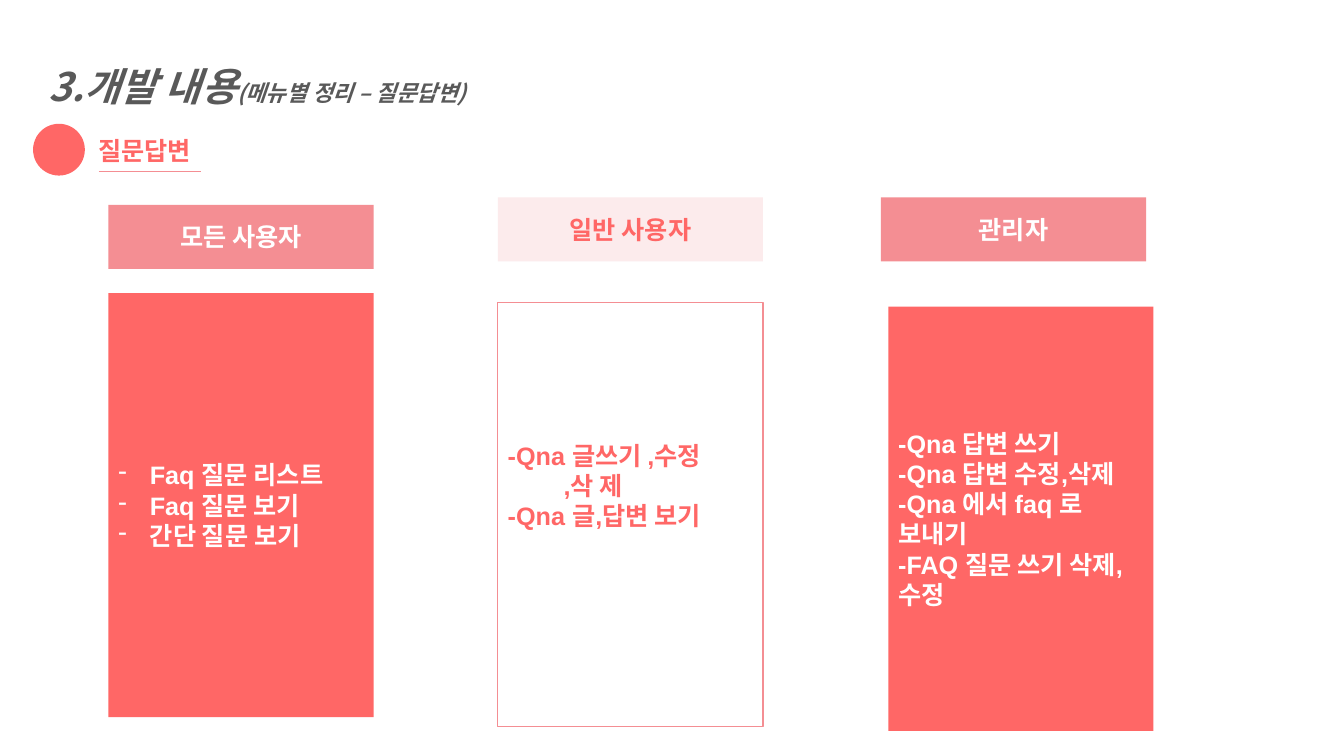
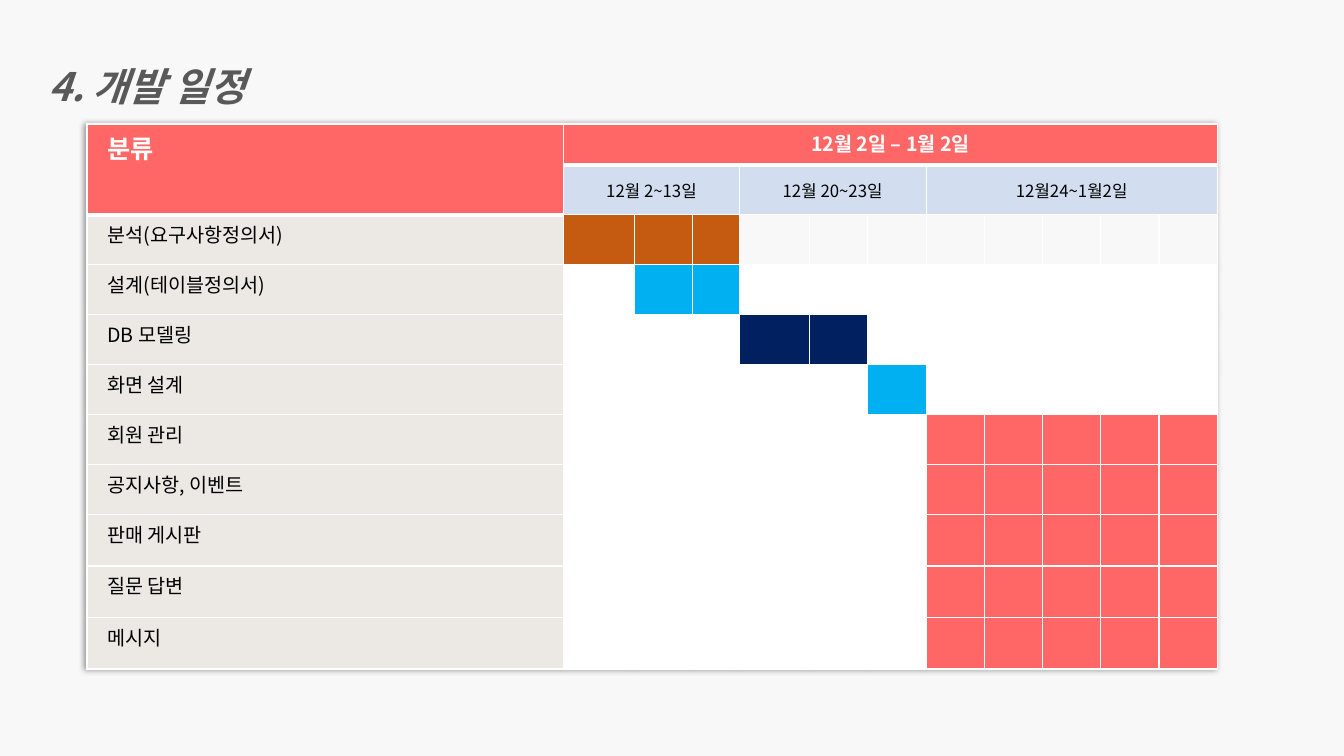
"""Builds the question-and-answer menu slide and the development schedule slide."""
from lxml.etree import SubElement
from pptx import Presentation
from pptx.dml.color import RGBColor
from pptx.enum.shapes import MSO_CONNECTOR as LINE, MSO_SHAPE as PRESET
from pptx.enum.text import MSO_ANCHOR as ANCHOR, MSO_AUTO_SIZE as FIT, PP_ALIGN as ALIGN
from pptx.oxml.ns import qn
from pptx.util import Pt

COLORS = {
    "white": "FFFFFF", "paper": "F8F8F8", "black": "000000", "title": "595959",
    "coral": "FF6766", "rose": "F48E93", "blush": "FCEBEC", "period": "D2DEEF",
    "label": "ECE8E4", "orange": "C55A11", "sky": "00B0F0", "navy": "002060",
}
RGB = {name: RGBColor.from_string(value) for name, value in COLORS.items()}
KOREAN = "Noto Sans CJK KR"


def style(paragraph, size, color, bold=True, face=KOREAN, align=ALIGN.LEFT):
    font = paragraph.font
    font.name, font.size, font.bold = face, Pt(size), bold
    font.color.rgb = RGB[color]
    SubElement(font._element, qn("a:ea")).set("typeface", KOREAN)
    paragraph.alignment = align


def add_block(slide, preset, bounds, fill, outline=None):
    block = slide.shapes.add_shape(preset, *map(Pt, bounds))
    block.shadow.inherit = False
    block.fill.solid()
    block.fill.fore_color.rgb = RGB[fill]
    if outline:
        block.line.color.rgb = RGB[outline]
        block.line.width = Pt(1)
    else:
        block.line.fill.background()
    block.text_frame.word_wrap = True
    block.text_frame.vertical_anchor = ANCHOR.MIDDLE
    return block


prs = Presentation()
prs.slide_width, prs.slide_height = Pt(960), Pt(540)

pages = []
for background, height, heading, subheading in [
    ("white", 58, "3.개발 내용", "(메뉴별 정리 – 질문답변)"),
    ("paper", 52, "4. 개발 일정", ""),
]:
    page = prs.slides.add_slide(prs.slide_layouts[6])
    page.background.fill.solid()
    page.background.fill.fore_color.rgb = RGB[background]
    title = page.shapes.add_textbox(Pt(27.4), Pt(24.5), Pt(479), Pt(height)).text_frame
    title.word_wrap = True
    title.auto_size = FIT.SHAPE_TO_FIT_TEXT
    line = title.paragraphs[0]
    line.line_spacing = 1.5
    line.add_run().text = heading
    if subheading:
        smaller = line.add_run()
        smaller.text = subheading
        smaller.font.size = Pt(16)
    style(line, 28, "title")
    line.font.italic = True
    pages.append(page)
menu_page, schedule_page = pages

add_block(menu_page, PRESET.OVAL, (23.6, 88.4, 37, 37), "coral")
section = menu_page.shapes.add_textbox(Pt(63.2), Pt(93), Pt(87), Pt(29)).text_frame
section.word_wrap = False
section.auto_size = FIT.SHAPE_TO_FIT_TEXT
section.text = "질문답변"
style(section.paragraphs[0], 18, "coral")

underline = menu_page.shapes.add_connector(LINE.STRAIGHT, Pt(70.6), Pt(122.4), Pt(143.3), Pt(122.4))
underline.line.color.rgb = RGB["rose"]
underline.line.width = Pt(0.5)
SubElement(underline._element.spPr, qn("a:effectLst"))

CARD_WIDTH, HEADER_HEIGHT, BODY_HEIGHT = 189.4, 45.8, 303
cards = [
    ("모든 사용자", (77.5, 146.3), "rose", (77.5, 209.3), "coral", None, "white",
     ["Faq 질문 리스트", "Faq 질문 보기", "간단 질문 보기"]),
    ("일반 사용자", (355.6, 141), "blush", (355.6, 216), "white", "rose", "coral",
     ["-Qna 글쓰기 ,수정", ",삭 제", "-Qna 글,답변 보기"]),
    ("관리자", (629.3, 141), "rose", (634.5, 219), "coral", None, "white",
     ["-Qna 답변 쓰기", "-Qna 답변 수정,삭제", "-Qna 에서 faq 로 보내기", "-FAQ 질문 쓰기 삭제,수정"]),
]
bodies = []
for role, header_at, header_fill, body_at, body_fill, outline, ink, features in cards:
    header = add_block(menu_page, PRESET.RECTANGLE, (*header_at, CARD_WIDTH, HEADER_HEIGHT), header_fill)
    header.text_frame.text = role
    style(header.text_frame.paragraphs[0], 18, ink, face="Arial", align=ALIGN.CENTER)
    body = add_block(menu_page, PRESET.RECTANGLE, (*body_at, CARD_WIDTH, BODY_HEIGHT),
                     body_fill, outline).text_frame
    body.text = "\n".join(features)
    for feature in body.paragraphs:
        style(feature, 18, ink, face="Arial")
    bodies.append(body)

everyone, member, _ = bodies
for feature in everyone.paragraphs:
    props = feature._p.get_or_add_pPr()
    props.set("marL", str(Pt(22.5)))
    props.set("indent", str(Pt(-22.5)))
    bullet = SubElement(props, qn("a:buChar"))
    bullet.set("char", "-")
    props.find(qn("a:defRPr")).addprevious(bullet)
member.paragraphs[1]._p.get_or_add_pPr().set("marL", str(Pt(40)))
member.margin_bottom = Pt(45)

column_widths = [340.6, 50.4, 41.6, 33.2, 50.4] + [41.6] * 7
row_heights = [29.5, 35.3] + [35.7] * 6 + [36.8] * 3
schedule = schedule_page.shapes.add_table(
    len(row_heights), len(column_widths), Pt(62.2), Pt(88.6),
    Pt(sum(column_widths)), Pt(sum(row_heights))).table
schedule.horz_banding = False
for column, width in zip(schedule.columns, column_widths):
    column.width = Pt(width)
for row, height in zip(schedule.rows, row_heights):
    row.height = Pt(height)

effects = SubElement(schedule._tbl.tblPr, qn("a:effectLst"))
schedule._tbl.tblPr.insert(0, effects)
shadow = SubElement(effects, qn("a:outerShdw"), blurRad=str(Pt(4)), dist=str(Pt(2)),
                    dir="10800000", algn="r", rotWithShape="0")
tint = SubElement(shadow, qn("a:srgbClr"), val=COLORS["black"])
SubElement(tint, qn("a:alpha"), val="40000")

tasks = [
    ("분석(요구사항정의서)", 1, 3, "orange", "paper"),
    ("설계(테이블정의서)", 2, 3, "sky", "white"),
    ("DB 모델링", 4, 5, "navy", "white"),
    ("화면 설계", 6, 6, "sky", "white"),
] + [(task, 7, 11, "coral", "white")
     for task in ["회원 관리", "공지사항, 이벤트", "판매 게시판", "질문 답변", "메시지"]]

fills = [["coral"] * 12, ["coral"] + ["period"] * 11]
for _, first, last, bar, empty in tasks:
    fills.append(["label"] + [bar if first <= day <= last else empty for day in range(1, 12)])

for row, row_fills in enumerate(fills):
    for column, fill in enumerate(row_fills):
        cell = schedule.cell(row, column)
        props = cell._tc.get_or_add_tcPr()
        for side in ("lnL", "lnR", "lnT", "lnB"):
            heavy = side == "lnB" and (row == 0 or (row, column) == (1, 0))
            border = SubElement(props, qn("a:" + side), w=str(Pt(3 if heavy else 1)))
            paint = SubElement(border, qn("a:solidFill"))
            SubElement(paint, qn("a:srgbClr"), val=COLORS["white"])
        cell.fill.solid()
        cell.fill.fore_color.rgb = RGB[fill]

labels = [
    (0, 0, 1, 0, "분류", 18, "white", True, ALIGN.LEFT),
    (0, 1, 0, 11, "12월 2일 – 1월 2일", 14, "white", True, ALIGN.CENTER),
    (1, 1, 1, 3, "12월 2~13일", 12, "black", False, ALIGN.CENTER),
    (1, 4, 1, 6, "12월 20~23일", 12, "black", False, ALIGN.CENTER),
    (1, 7, 1, 11, "12월24~1월2일", 12, "black", False, ALIGN.CENTER),
] + [(row, 0, row, 0, task[0], 14, "black", False, ALIGN.LEFT)
     for row, task in enumerate(tasks, 2)]
for top, left, bottom, right, text, size, ink, bold, align in labels:
    cell = schedule.cell(top, left)
    if (top, left) != (bottom, right):
        cell.merge(schedule.cell(bottom, right))
    cell.text = text
    style(cell.text_frame.paragraphs[0], size, ink, bold, align=align)
    if size == 12:
        cell.vertical_anchor = ANCHOR.MIDDLE
        cell.margin_left = cell.margin_right = cell.margin_top = cell.margin_bottom = 0
    else:
        cell.margin_left = cell.margin_right = Pt(14.4)

prs.save("out.pptx")
